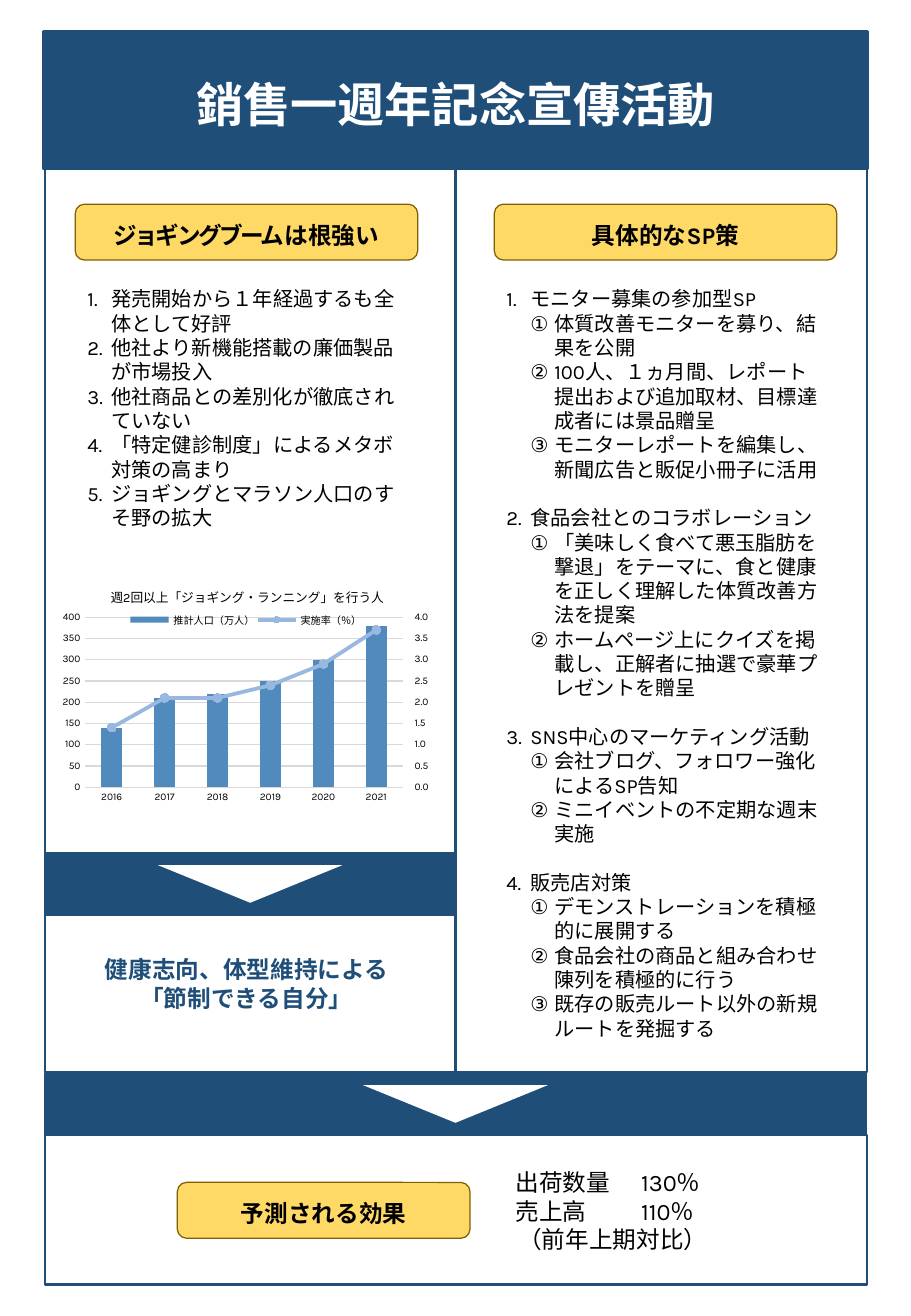
from dataclasses import dataclass

from pptx import Presentation, oxml
from pptx import util as u
from pptx.chart import data
from pptx.dml import color
from pptx.enum import chart as charts, shapes, text
from pptx.oxml import ns


@dataclass(frozen=True)
class Theme:
    font: str = "Karla"
    navy: str = "1F4E79"
    gold: str = "FFD966"
    olive: str = "806000"
    black: str = "000000"
    white: str = "FFFFFF"
    bar: str = "518ABD"
    rate: str = "98B8E0"
    grid: str = "D9D9D9"
    title: float = 28
    heading: float = 14
    body: float = 12
    chart_title: float = 7.5
    chart: float = 6
    leading: float = 1.2


@dataclass(frozen=True)
class Box:
    left: float
    top: float
    width: float
    height: float

    def points(self) -> list:
        return [u.Pt(v) for v in (self.left, self.top, self.width, self.height)]


@dataclass(frozen=True)
class Heading:
    box: Box
    label: str
    tight: str = ""


@dataclass(frozen=True)
class Item:
    label: str
    details: tuple = ()


THEME = Theme()
SHAPE, ALIGN, ANCHOR = shapes.MSO_SHAPE, text.PP_ALIGN, text.MSO_ANCHOR

BANNER = Box(25.9, 18.7, 488.2, 81.4)
TITLE = Box(46.8, 41, 446.4, 41)
FRAMES = (Box(26.6, 99.4, 487.4, 535.7), Box(26.6, 672.5, 487.4, 88.6))
BANDS = (Box(26.6, 505.4, 243.4, 36.7), Box(26.6, 635.8, 486.7, 36.7))
ARROW_WIDTH, ARROW_HEIGHT = 109.4, 22.3
DIVIDER_X = 270
HEADINGS = (
    Heading(Box(44.6, 121, 203, 33.1), "は根強い", "ジョギングブーム"),
    Heading(Box(293, 121, 203, 33.1), "具体的なSP策"),
    Heading(Box(105.1, 700.6, 173.5, 33.1), "予測される効果"),
)
REASONS = (
    Item("発売開始から１年経過するも全体として好評"),
    Item("他社より新機能搭載の廉価製品が市場投入"),
    Item("他社商品との差別化が徹底されていない"),
    Item("「特定健診制度」によるメタボ対策の高まり"),
    Item("ジョギングとマラソン人口のすそ野の拡大"),
)
MEASURES = (
    Item("モニター募集の参加型SP", (
        "体質改善モニターを募り、結果を公開",
        "100人、１ヵ月間、レポート提出および追加取材、目標達成者には景品贈呈",
        "モニターレポートを編集し、新聞広告と販促小冊子に活用")),
    Item("食品会社とのコラボレーション", (
        "「美味しく食べて悪玉脂肪を撃退」をテーマに、食と健康を正しく理解した体質改善方法を提案",
        "ホームページ上にクイズを掲載し、正解者に抽選で豪華プレゼントを贈呈")),
    Item("SNS中心のマーケティング活動", (
        "会社ブログ、フォロワー強化によるSP告知",
        "ミニイベントの不定期な週末実施")),
    Item("販売店対策", (
        "デモンストレーションを積極的に展開する",
        "食品会社の商品と組み合わせ陳列を積極的に行う",
        "既存の販売ルート以外の新規ルートを発掘する")),
)


def rgb(value: str) -> color.RGBColor:
    return color.RGBColor.from_string(value)


def style_font(font, size: float, colour: str, bold: bool = False) -> None:
    font.name, font.size, font.bold = THEME.font, u.Pt(size), bold
    font.color.rgb = rgb(colour)


def style_text(shape, size: float, colour: str, bold: bool = False,
               align=ALIGN.CENTER, anchor=ANCHOR.MIDDLE) -> None:
    frame = shape.text_frame
    frame.word_wrap, frame.auto_size = True, text.MSO_AUTO_SIZE.NONE
    frame.vertical_anchor = anchor
    for paragraph in frame.paragraphs:
        paragraph.alignment = align
        paragraph.line_spacing = u.Pt(size * THEME.leading)
        for run in paragraph.runs:
            style_font(run.font, size, colour, bold)


def place(shape, box: Box) -> None:
    shape.left, shape.top, shape.width, shape.height = box.points()


def draw_shape(slide, kind, box: Box, fill: str = "", line: str = "", weight: float = 1.5):
    shape = slide.shapes.add_shape(kind, *box.points())
    shape.shadow.inherit = False
    if fill:
        shape.fill.solid()
        shape.fill.fore_color.rgb = rgb(fill)
    else:
        shape.fill.background()
    if line:
        shape.line.color.rgb, shape.line.width = rgb(line), u.Pt(weight)
    else:
        shape.line.fill.background()
    return shape


def draw_heading(slide, heading: Heading) -> None:
    shape = draw_shape(slide, SHAPE.ROUNDED_RECTANGLE, heading.box, THEME.gold, THEME.olive, 0.75)
    shape.text_frame.margin_top, shape.text_frame.margin_bottom = u.Pt(5), u.Pt(2)
    shape.text_frame.text = heading.tight or heading.label
    if heading.tight:
        shape.text_frame.paragraphs[0].add_run().text = heading.label
    style_text(shape, THEME.heading, THEME.black, True)
    if heading.tight:
        next(shape.element.iter(ns.qn("a:rPr"))).set("spc", "-150")


def draw_text(slide, box: Box, content: str, colour: str, bold: bool = False):
    shape = slide.shapes.add_textbox(*box.points())
    shape.text_frame.text = content
    style_text(shape, THEME.heading, colour, bold)
    return shape


def fill_list(placeholder, box: Box, items: tuple) -> None:
    place(placeholder, box)
    rows = [(level, label) for item in items
            for level, label in [(0, item.label), *((1, d) for d in item.details)]]
    placeholder.text_frame.text = "\n".join(label for _, label in rows)
    elements = placeholder.element.iter(ns.qn("a:p"))
    for i, (paragraph, element) in enumerate(zip(placeholder.text_frame.paragraphs, elements)):
        level = rows[i][0]
        properties = element.get_or_add_pPr()
        properties.set("marL", str(u.Pt(14.2 * (level + 1))))
        properties.set("indent", str(-u.Pt(14.2)))
        number = ("arabicPeriod", "circleNumDbPlain")[level]
        for tag in (f'a:buFont {ns.nsdecls("a")} typeface="{THEME.font}"',
                    f'a:buAutoNum {ns.nsdecls("a")} type="{number}"'):
            properties.append(oxml.parse_xml(f"<{tag}/>"))
        paragraph.level = level
        new_group = i > 0 and level == 0 and rows[i - 1][0] == 1
        paragraph.space_before = u.Pt(THEME.body * THEME.leading if new_group else 0)
    style_text(placeholder, THEME.body, THEME.black, align=ALIGN.LEFT, anchor=ANCHOR.TOP)


def set_layout(parent, index: int, target: str, **fractions: float) -> None:
    for old in parent.findall(ns.qn("c:layout")):
        parent.remove(old)
    inner = f'<c:layoutTarget val="{target}"/>' if target else ""
    modes = "".join(f'<c:{key}Mode val="edge"/>' for key in "xy")
    values = "".join(f'<c:{key} val="{value}"/>' for key, value in fractions.items())
    parent.insert(index, oxml.parse_xml(
        f'<c:layout {ns.nsdecls("c")}><c:manualLayout>{inner}{modes}{values}'
        "</c:manualLayout></c:layout>"))


def move_rate_to_right_axis(plot_area) -> None:
    bars = plot_area.find(ns.qn("c:barChart"))
    rate = bars.findall(ns.qn("c:ser"))[1]
    for flag in rate.findall(ns.qn("c:invertIfNegative")):
        rate.remove(flag)
    line_chart, value_axis, category_axis = oxml.parse_xml(f'''<c:plotArea {ns.nsdecls("c", "a")}>
<c:lineChart><c:grouping val="standard"/><c:varyColors val="0"/><c:marker val="1"/>
<c:axId val="501"/><c:axId val="502"/></c:lineChart>
<c:valAx><c:axId val="502"/><c:scaling><c:orientation val="minMax"/><c:max val="4"/><c:min val="0"/></c:scaling>
<c:delete val="0"/><c:axPos val="r"/>
<c:numFmt formatCode="#,##0.0_);[Red]\\(#,##0.0\\)" sourceLinked="0"/>
<c:majorTickMark val="out"/><c:minorTickMark val="none"/><c:tickLblPos val="nextTo"/>
<c:spPr><a:ln><a:noFill/></a:ln></c:spPr><c:txPr><a:bodyPr/><a:p><a:pPr>
<a:defRPr sz="{THEME.chart * 100}"><a:solidFill><a:srgbClr val="{THEME.black}"/></a:solidFill>
<a:latin typeface="{THEME.font}"/></a:defRPr></a:pPr><a:endParaRPr/></a:p></c:txPr>
<c:crossAx val="501"/><c:crosses val="max"/><c:majorUnit val="0.5"/></c:valAx>
<c:catAx><c:axId val="501"/><c:scaling><c:orientation val="minMax"/></c:scaling><c:delete val="1"/>
<c:axPos val="b"/><c:crossAx val="502"/><c:crosses val="autoZero"/></c:catAx></c:plotArea>''')
    line_chart.insert(2, rate)
    bars.addnext(line_chart)
    plot_area.find(ns.qn("c:valAx")).addnext(value_axis)
    value_axis.addnext(category_axis)


def draw_chart(slide, box: Box) -> None:
    runners = data.CategoryChartData()
    runners.categories = [str(year) for year in range(2016, 2022)]
    runners.add_series("推計人口（万人）", (140, 210, 220, 250, 300, 380))
    runners.add_series("実施率（％）", (1.4, 2.1, 2.1, 2.4, 2.9, 3.7))
    chart = slide.shapes.add_chart(charts.XL_CHART_TYPE.COLUMN_CLUSTERED, *box.points(), runners).chart
    style_font(chart.font, THEME.chart, THEME.black)
    chart.plots[0].vary_by_categories, chart.plots[0].gap_width = False, 150

    # Left and bottom axes
    for axis in (chart.category_axis, chart.value_axis):
        axis.major_tick_mark = charts.XL_TICK_MARK.NONE
        style_font(axis.tick_labels.font, THEME.chart, THEME.black)
    people = chart.value_axis
    people.minimum_scale, people.maximum_scale, people.major_unit = 0, 400, 50
    people.format.line.fill.background()
    for line in (chart.category_axis.format.line, people.major_gridlines.format.line):
        line.color.rgb, line.width = rgb(THEME.grid), u.Pt(0.75)

    # Columns and line
    plot_area = chart.element.xpath("c:chart/c:plotArea")[0]
    move_rate_to_right_axis(plot_area)
    columns, rate = (plot.series[0] for plot in chart.plots)
    rate.smooth = False
    rate.format.line.color.rgb, rate.format.line.width = rgb(THEME.rate), u.Pt(2.25)
    rate.marker.style, rate.marker.size = charts.XL_MARKER_STYLE.CIRCLE, 5
    rate.marker.format.line.color.rgb = rgb(THEME.rate)
    for part, colour in ((columns, THEME.bar), (rate.marker, THEME.rate)):
        part.format.fill.solid()
        part.format.fill.fore_color.rgb = rgb(colour)

    # Title and legend
    title = chart.chart_title.text_frame
    title.text = "週2回以上「ジョギング・ランニング」を行う人"
    style_font(title.paragraphs[0].runs[0].font, THEME.chart_title, THEME.black)
    chart.has_legend = True
    chart.legend.position = charts.XL_LEGEND_POSITION.TOP
    chart.legend.include_in_layout = True
    style_font(chart.legend.font, THEME.chart, THEME.black)
    set_layout(plot_area, 0, "inner", x=0.08, y=0.22, w=0.83, h=0.7)
    set_layout(chart.element.xpath("c:chart/c:title")[0], 1, "", x=0.14, y=0.08)
    set_layout(chart.element.xpath("c:chart/c:legend")[0], 1, "", x=0.19, y=0.19, w=0.62, h=0.08)


def main() -> None:
    presentation = Presentation()
    presentation.slide_width, presentation.slide_height = u.Pt(540), u.Pt(779.76)
    slide = presentation.slides.add_slide(presentation.slide_layouts[3])
    title, reasons, measures = slide.placeholders

    # Title banner
    banner = draw_shape(slide, SHAPE.RECTANGLE, BANNER, THEME.navy, THEME.navy)
    place(title, TITLE)
    title.text_frame.text = "銷售一週年記念宣傳活動"
    style_text(title, THEME.title, THEME.white, True, anchor=ANCHOR.TOP)
    banner.element.addnext(title.element)

    # Headings, lists and chart
    for heading in HEADINGS:
        draw_heading(slide, heading)
    fill_list(reasons, Box(44.6, 166.3, 203, 152.6), REASONS)
    fill_list(measures, Box(293, 166.3, 203, 472.3), MEASURES)
    draw_chart(slide, Box(32.4, 334.1, 226.8, 144))

    # Conclusion and expected figures
    draw_text(slide, Box(44.6, 562.3, 203, 41), "健康志向、体型維持による\v「節制できる自分」", THEME.navy, True)
    figures = draw_text(slide, Box(276.5, 688.3, 173.5, 58.3),
                        "出荷数量\t130％\n売上高\t110％\n（前年上期対比）", THEME.black)
    figures.text_frame.margin_left = figures.text_frame.margin_right = u.Pt(29)
    for paragraph, element in list(zip(figures.text_frame.paragraphs, figures.element.iter(ns.qn("a:p"))))[:2]:
        paragraph.alignment = ALIGN.LEFT
        element.get_or_add_pPr().append(oxml.parse_xml(
            f'<a:tabLst {ns.nsdecls("a")}><a:tab pos="{u.Pt(74.5)}" algn="l"/></a:tabLst>'))

    # Frames, divider and arrow bands
    for frame in FRAMES:
        draw_shape(slide, SHAPE.RECTANGLE, frame, line=THEME.navy)
    divider = slide.shapes.add_connector(shapes.MSO_CONNECTOR.STRAIGHT, u.Pt(DIVIDER_X), u.Pt(FRAMES[0].top),
                                         u.Pt(DIVIDER_X), u.Pt(FRAMES[1].top))
    divider.line.color.rgb, divider.line.width = rgb(THEME.navy), u.Pt(1.5)
    divider.element.spPr.append(oxml.parse_xml(f'<a:effectLst {ns.nsdecls("a")}/>'))
    for band in BANDS:
        draw_shape(slide, SHAPE.RECTANGLE, band, THEME.navy, THEME.navy)
        arrow = Box(band.left + (band.width - ARROW_WIDTH) / 2, band.top + (band.height - ARROW_HEIGHT) / 2,
                    ARROW_WIDTH, ARROW_HEIGHT)
        draw_shape(slide, SHAPE.ISOSCELES_TRIANGLE, arrow, THEME.white).rotation = 180

    # East Asian text uses the same font
    for latin in list(slide.element.iter(ns.qn("a:latin"))):
        latin.addnext(oxml.parse_xml(f'<a:ea {ns.nsdecls("a")} typeface="{THEME.font}"/>'))
    presentation.save("out.pptx")


if __name__ == "__main__":
    main()
